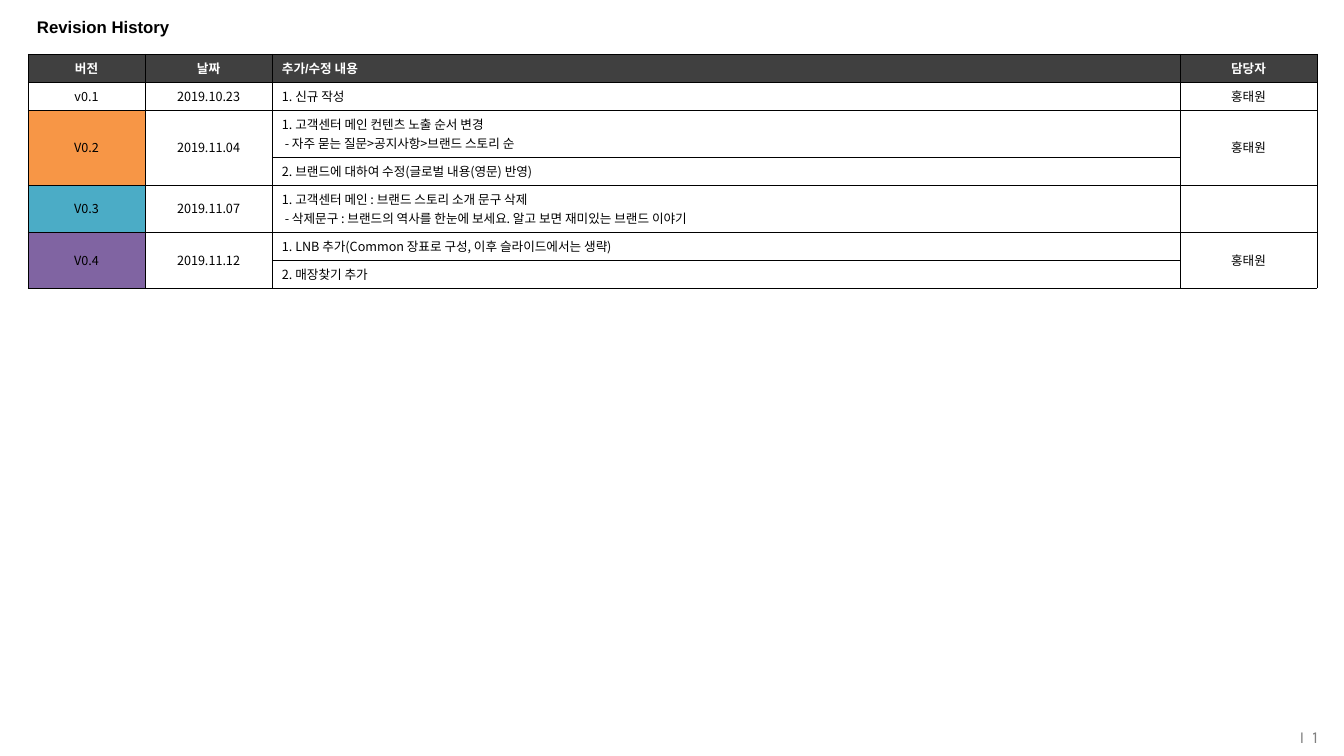
from dataclasses import dataclass

from lxml.etree import SubElement
from pptx import Presentation
from pptx.dml.color import RGBColor as RGB
from pptx.enum.text import MSO_ANCHOR as Anchor, PP_ALIGN as Align
from pptx.oxml import parse_xml
from pptx.oxml.ns import nsdecls, qn
from pptx.util import Emu, Pt

TITLE = "Revision History"
PAGE = "I  1"
HEADERS = ["버전", "날짜", "추가/수정 내용", "담당자"]
REVISIONS = [
    ("v0.1", "2019.10.23", "홍태원", "FFFFFF", [["1. 신규 작성"]]),
    ("V0.2", "2019.11.04", "홍태원", "F79646", [
        ["1. 고객센터 메인 컨텐츠 노출 순서 변경",
         " - 자주 묻는 질문>공지사항>브랜드 스토리 순"],
        ["2. 브랜드에 대하여 수정(글로벌 내용(영문) 반영)"],
    ]),
    ("V0.3", "2019.11.07", "", "4BACC6", [
        ["1. 고객센터 메인 : 브랜드 스토리 소개 문구 삭제",
         " - 삭제문구 : 브랜드의 역사를 한눈에 보세요. 알고 보면 재미있는 브랜드 이야기"],
    ]),
    ("V0.4", "2019.11.12", "홍태원", "8064A2", [
        ["1. LNB 추가(Common 장표로 구성, 이후 슬라이드에서는 생략)"],
        ["2. 매장찾기 추가"],
    ]),
]


@dataclass(frozen=True)
class Theme:
    head: str = "Arial"
    body: str = "Noto Sans CJK KR"
    number: str = "Karla"
    black: str = "000000"
    white: str = "FFFFFF"
    dark: str = "404040"
    gray: str = "808080"
    large: int = 12
    small: int = 9
    border: float = 0.25


T = Theme()
SLIDE_W, SLIDE_H = 1344, 756
TABLE_X, TABLE_Y = 28, 54
COLS = [117, 127, 908, 137]
ONE_LINE, NEXT_LINE = 28, 19
PAD_X, PAD_Y = 10, 5
CONTENT_COL = 2


def px(n):
    return Emu(round(n * 12192000 / SLIDE_W))


def write(tf, lines, font, size, color, align=Align.LEFT, bold=False):
    tf.word_wrap = True
    for i, line in enumerate(lines):
        p = tf.paragraphs[0] if i == 0 else tf.add_paragraph()
        p.alignment = align
        r = p.add_run()
        r.text = line
        r.font.name = font
        r.font.size = Pt(size)
        r.font.bold = bold
        r.font.color.rgb = RGB.from_string(color)
        SubElement(r._r.get_or_add_rPr(), qn("a:ea"), typeface=T.body)
        latin = r._r.rPr.find(qn("a:latin"))
        latin.addnext(r._r.rPr.find(qn("a:ea")))


def add_text(s, box, text, pad, *style, **options):
    tf = s.shapes.add_textbox(*map(px, box)).text_frame
    tf.margin_left = tf.margin_right = px(pad)
    tf.margin_top = tf.margin_bottom = 0
    tf.vertical_anchor = Anchor.MIDDLE
    write(tf, [text], *style, **options)


def style_cell(cell):
    cell.margin_left = cell.margin_right = px(PAD_X)
    cell.margin_top = cell.margin_bottom = px(PAD_Y)
    cell.vertical_anchor = Anchor.MIDDLE
    cell.fill.solid()
    cell.fill.fore_color.rgb = RGB.from_string(T.white)
    for i, side in enumerate(("lnL", "lnR", "lnT", "lnB")):
        cell._tc.tcPr.insert(i, parse_xml(
            f'<a:{side} {nsdecls("a")} w="{Pt(T.border)}"><a:solidFill>'
            f'<a:srgbClr val="{T.black}"/></a:solidFill></a:{side}>'))


def column_align(col):
    return Align.LEFT if col == CONTENT_COL else Align.CENTER


def fill_cell(cell, lines, col):
    write(cell.text_frame, lines, T.body, T.small, T.black, column_align(col))


def add_history(s):
    notes = [note for rev in REVISIONS for note in rev[-1]]
    heights = [ONE_LINE] + [ONE_LINE + NEXT_LINE * (len(n) - 1) for n in notes]
    frame = s.shapes.add_table(len(heights), len(COLS), px(TABLE_X), px(TABLE_Y),
                               px(sum(COLS)), px(sum(heights)))
    table = frame.table
    table.first_row = table.horz_banding = False
    for column, width in zip(table.columns, COLS):
        column.width = px(width)
    for row, height in zip(table.rows, heights):
        row.height = px(height)
    for cell in table.iter_cells():
        style_cell(cell)

    for col, label in enumerate(HEADERS):
        cell = table.cell(0, col)
        cell.fill.fore_color.rgb = RGB.from_string(T.dark)
        write(cell.text_frame, [label], T.head, T.small, T.white,
              column_align(col), bold=True)

    top = 1
    for version, date, author, color, changes in REVISIONS:
        last = top + len(changes) - 1
        for col, text in ((0, version), (1, date), (3, author)):
            cell = table.cell(top, col)
            if last > top:
                cell.merge(table.cell(last, col))
            if text:
                fill_cell(cell, [text], col)
        for row in range(top, last + 1):
            table.cell(row, 0).fill.fore_color.rgb = RGB.from_string(color)
            fill_cell(table.cell(row, CONTENT_COL), changes[row - top], CONTENT_COL)
        top = last + 1


def main():
    prs = Presentation()
    prs.slide_width, prs.slide_height = px(SLIDE_W), px(SLIDE_H)
    s = prs.slides.add_slide(prs.slide_layouts[6])
    add_text(s, (1124, 717, 194, 39), PAGE, 0, T.number, T.large, T.gray,
             align=Align.RIGHT)
    add_history(s)
    add_text(s, (27, 8, 1289, 38), TITLE, PAD_X, T.head, T.large, T.black, bold=True)
    prs.save("out.pptx")


if __name__ == "__main__":
    main()
